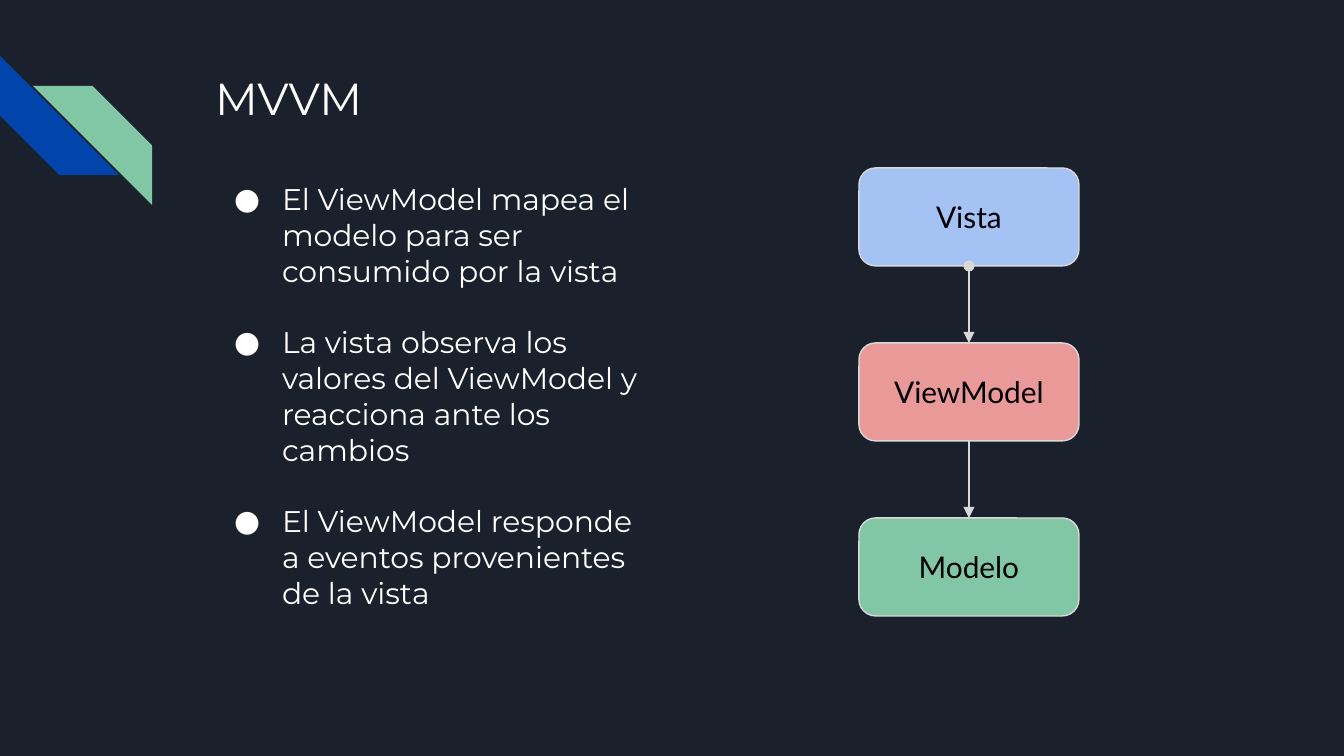
from dataclasses import dataclass

from lxml import etree
from pptx import Presentation
from pptx.dml.color import RGBColor
from pptx.enum.shapes import MSO_CONNECTOR, MSO_SHAPE
from pptx.enum.text import MSO_ANCHOR, MSO_AUTO_SIZE, PP_ALIGN
from pptx.oxml.ns import qn
from pptx.util import Pt

STRIPE = MSO_SHAPE.DIAGONAL_STRIPE
ROUNDED = MSO_SHAPE.ROUNDED_RECTANGLE
STRAIGHT = MSO_CONNECTOR.STRAIGHT
TOP, MIDDLE = MSO_ANCHOR.TOP, MSO_ANCHOR.MIDDLE
LEFT, CENTER = PP_ALIGN.LEFT, PP_ALIGN.CENTER
NO_AUTOFIT = MSO_AUTO_SIZE.NONE
TOP_SITE, BOTTOM_SITE = 0, 2

SLIDE_WIDTH, SLIDE_HEIGHT = 1344, 756
SCALE = 9144000 / SLIDE_WIDTH


@dataclass(frozen=True)
class Theme:
    background: str = "1B212C"
    text: str = "FFFFFF"
    box_text: str = "000000"
    outline: str = "D9D9D9"
    stripe: str = "0145AC"
    green: str = "82C7A5"
    blue: str = "A4C2F4"
    red: str = "EA9999"
    text_font: str = "Montserrat"
    box_font: str = "Lato"
    title_size: int = 24
    body_size: int = 16
    paragraph_gap: int = 19
    outline_width: float = 0.75
    arrow_width: float = 1.5


THEME = Theme()

BULLETS = [
    "El ViewModel mapea el modelo para ser consumido por la vista",
    "La vista observa los valores del ViewModel y reacciona ante los cambios",
    "El ViewModel responde a eventos provenientes de la vista",
]
LAYERS = [
    ("Vista", THEME.blue),
    ("ViewModel", THEME.red),
    ("Modelo", THEME.green),
]


def px(length):
    return round(length * SCALE)


def color(value):
    return RGBColor.from_string(value)


def place(shape, box):
    shape.left, shape.top, shape.width, shape.height = map(px, box)


def style_font(paragraph, name, size, value):
    paragraph.font.name = name
    paragraph.font.size = Pt(size)
    paragraph.font.color.rgb = color(value)


def set_frame(frame, anchor):
    frame.word_wrap = True
    frame.auto_size = NO_AUTOFIT
    frame.vertical_anchor = anchor
    frame.margin_left = frame.margin_right = px(13)
    frame.margin_top = frame.margin_bottom = px(13)


def add_filled_shape(slide, kind, box, fill):
    shape = slide.shapes.add_shape(kind, *map(px, box))
    shape.shadow.inherit = False
    shape.fill.solid()
    shape.fill.fore_color.rgb = color(fill)
    return shape


def add_stripes(slide, box):
    left, top, width, height = box
    side = 119
    stripes = [
        (left, top, 270, THEME.stripe),
        (left + width - side, top + height - side, 90, THEME.green),
    ]
    for x, y, rotation, fill in stripes:
        stripe = add_filled_shape(slide, STRIPE, (x, y, side, side), fill)
        stripe.rotation = rotation
        stripe.line.fill.background()


def add_title(slide, box):
    title = slide.shapes.title
    place(title, box)
    set_frame(title.text_frame, TOP)
    title.text_frame.text = "MVVM"
    paragraph = title.text_frame.paragraphs[0]
    paragraph.alignment = LEFT
    style_font(paragraph, THEME.text_font, THEME.title_size, THEME.text)


def set_bullet(paragraph):
    properties = paragraph._p.get_or_add_pPr()
    properties.set("marL", str(px(67)))
    properties.set("indent", str(-px(48)))
    bullet_color = etree.SubElement(properties, qn("a:buClr"))
    etree.SubElement(bullet_color, qn("a:srgbClr"), val=THEME.text)
    etree.SubElement(properties, qn("a:buFont"), typeface=THEME.text_font)
    etree.SubElement(properties, qn("a:buChar"), char="●")


def add_bullets(slide, box):
    body = slide.placeholders[1]
    place(body, box)
    frame = body.text_frame
    set_frame(frame, TOP)
    frame.text = "\n".join(BULLETS)
    for index, paragraph in enumerate(frame.paragraphs):
        set_bullet(paragraph)
        paragraph.alignment = LEFT
        paragraph.line_spacing = 1.0
        paragraph.space_before = Pt(THEME.paragraph_gap if index else 0)
        style_font(paragraph, THEME.text_font, THEME.body_size, THEME.text)


def add_layer(slide, box, label, fill):
    layer = add_filled_shape(slide, ROUNDED, box, fill)
    layer.adjustments[0] = 0.17
    layer.line.color.rgb = color(THEME.outline)
    layer.line.width = Pt(THEME.outline_width)
    set_frame(layer.text_frame, MIDDLE)
    layer.text_frame.text = label
    paragraph = layer.text_frame.paragraphs[0]
    paragraph.alignment = CENTER
    style_font(paragraph, THEME.box_font, THEME.body_size, THEME.box_text)
    return layer


def add_arrow(slide, upper, lower, oval_start):
    arrow = slide.shapes.add_connector(STRAIGHT, 0, 0, 0, 0)
    arrow.begin_connect(upper, BOTTOM_SITE)
    arrow.end_connect(lower, TOP_SITE)
    arrow.line.color.rgb = color(THEME.outline)
    arrow.line.width = Pt(THEME.arrow_width)
    line = arrow.line._get_or_add_ln()
    if oval_start:
        etree.SubElement(line, qn("a:headEnd"), type="oval")
    etree.SubElement(line, qn("a:tailEnd"), type="triangle")
    etree.SubElement(arrow._element.spPr, qn("a:effectLst"))


def add_diagram(slide, box):
    left, top, width, height = box
    layer_height = 98
    step = (height - layer_height) // (len(LAYERS) - 1)
    layers = [
        add_layer(slide, (left, top + index * step, width, layer_height), label, fill)
        for index, (label, fill) in enumerate(LAYERS)
    ]
    for index, (upper, lower) in enumerate(zip(layers, layers[1:])):
        add_arrow(slide, upper, lower, oval_start=index == 0)


def main():
    presentation = Presentation()
    presentation.slide_width = px(SLIDE_WIDTH)
    presentation.slide_height = px(SLIDE_HEIGHT)
    slide = presentation.slides.add_slide(presentation.slide_layouts[1])
    slide.background.fill.solid()
    slide.background.fill.fore_color.rgb = color(THEME.background)
    add_stripes(slide, (0, 56, 152, 149))
    add_title(slide, (202, 58, 941, 110))
    add_bullets(slide, (202, 168, 464, 461))
    add_diagram(slide, (859, 168, 220, 448))
    presentation.save("out.pptx")


if __name__ == "__main__":
    main()
